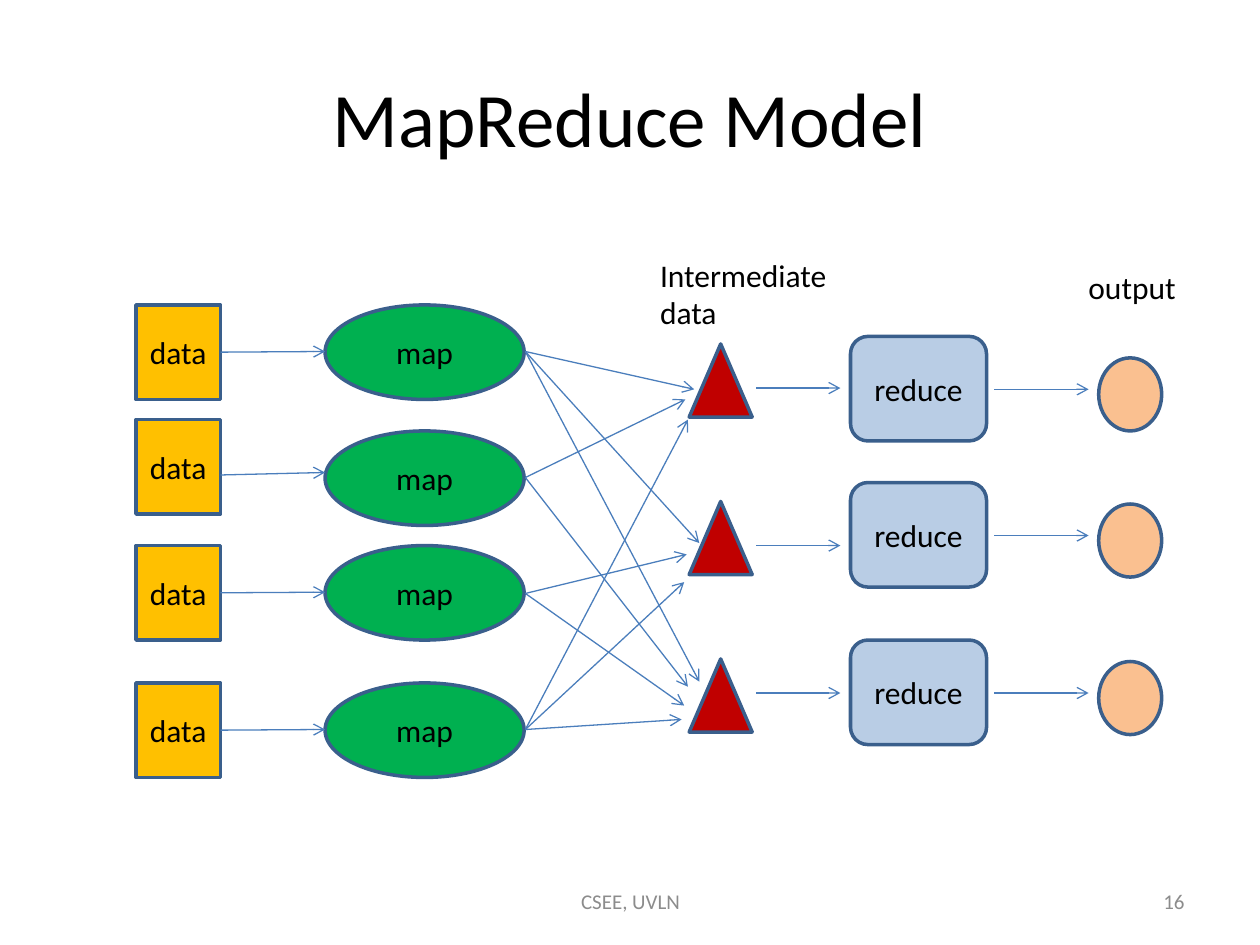
from lxml import etree
from pptx import Presentation
from pptx.dml.color import RGBColor
from pptx.enum import shapes, text
from pptx.oxml import ns
from pptx.util import Pt

SCALE = 9144  # EMU per px, 100 px to the inch
FONT = "Calibri"
COLORS = {
    "ink": "000000", "muted": "8C8C8C", "outline": "3A5F8C", "arrow": "4B7EBC",
    "data": "FFC000", "map": "00B050", "triangle": "C00000",
    "reduce": "B9CDE5", "output": "FAC090",
}
SHAPE = shapes.MSO_SHAPE
ALIGN = text.PP_ALIGN


def px(*lengths):
    return [length * SCALE for length in lengths]


def color(name):
    return RGBColor.from_string(COLORS[name])


def write(frame, lines, size=18, ink="ink", align=ALIGN.LEFT):
    frame.text = "\n".join(lines)
    for para in frame.paragraphs:
        para.alignment = align
        para.font.name = FONT
        para.font.size = Pt(size)
        para.font.color.rgb = color(ink)


def add_node(page, kind, box, fill, label=""):
    node = page.shapes.add_shape(kind, *px(*box))
    node.shadow.inherit = False
    node.fill.solid()
    node.fill.fore_color.rgb = color(fill)
    node.line.color.rgb = color("outline")
    node.line.width = Pt(2)
    if label:
        node.text_frame.vertical_anchor = text.MSO_ANCHOR.MIDDLE
        write(node.text_frame, [label], align=ALIGN.CENTER)
    return node


def add_arrow(page, start, end):
    arrow = page.shapes.add_connector(
        shapes.MSO_CONNECTOR.STRAIGHT, *px(*start, *end))
    arrow.line.color.rgb = color("arrow")
    arrow.line.width = Pt(0.75)
    etree.SubElement(arrow.line._get_or_add_ln(), ns.qn("a:tailEnd"), type="arrow")
    etree.SubElement(arrow._element.spPr, ns.qn("a:effectLst"))
    return arrow


def add_label(page, box, lines):
    label = page.shapes.add_textbox(*px(*box))
    label.text_frame.word_wrap = False
    write(label.text_frame, lines)


def add_title(page, box):
    title = page.shapes.title
    title.left, title.top, title.width, title.height = px(*box)
    title.text_frame.vertical_anchor = text.MSO_ANCHOR.MIDDLE
    write(title.text_frame, ["MapReduce Model"], 44, align=ALIGN.CENTER)


def add_footer(page, box):
    left, top, width, height = box
    fields = [
        ("CSEE, UVLN", left + 292, 317, ALIGN.CENTER),
        ("16", left + width - 233, 233, ALIGN.RIGHT),
    ]
    for words, x, field_width, align in fields:
        field = page.shapes.add_textbox(*px(x, top, field_width, height))
        field.text_frame.word_wrap = True
        field.text_frame.vertical_anchor = text.MSO_ANCHOR.MIDDLE
        write(field.text_frame, [words], 12, "muted", align)


def add_map_stage(page, box):
    left, top, width, height = box
    map_left = left + 150
    # Row offsets of the data box and of its map
    for data_row, map_row in [(0, 0), (91, 100), (191, 191), (300, 300)]:
        data = add_node(page, SHAPE.RECTANGLE,
                        (left, top + data_row, 67, 75), "data", "data")
        add_node(page, SHAPE.OVAL,
                 (map_left, top + map_row, width - 150, 75), "map", "map")
        if data_row == map_row:
            middle = top + data_row + 37
            arrow = add_arrow(page, (left + 67, middle), (map_left, middle))
            arrow.begin_connect(data, 3)
        else:
            add_arrow(page, (left + 67, top + 135), (map_left, top + 133))


def add_shuffle_stage(page, box):
    left, top, width, height = box
    add_label(page, (left + 97, top, 153, 71), ["Intermediate", "data"])
    for row in range(3):
        add_node(page, SHAPE.ISOSCELES_TRIANGLE,
                 (left + 130, top + 75 + 125 * row, 50, 58), "triangle")
    # Arrow tips for each map, keyed by where its arrows start
    tips_by_start = {
        81: [(134, 111), (138, 233), (138, 343)],
        181: [(127, 119), (129, 347)],
        273: [(128, 242), (126, 362)],
        381: [(129, 135), (126, 264), (124, 373)],
    }
    for start, tips in tips_by_start.items():
        for x, y in tips:
            add_arrow(page, (left, top + start), (left + x, top + y))


def add_reduce_stage(page, box):
    left, top, width, height = box
    add_label(page, (left + 254, top, 90, 40), ["output"])
    # Row offsets of the reduce box and of the arrow into it
    for row, arrow_row in [(59, 100), (175, 225), (300, 342)]:
        y = top + row
        add_node(page, SHAPE.ROUNDED_RECTANGLE,
                 (left + 75, y, 108, 83), "reduce", "reduce")
        add_node(page, SHAPE.OVAL, (left + 272, y + 17, 50, 58), "output")
        add_arrow(page, (left, top + arrow_row), (left + 67, top + arrow_row))
        add_arrow(page, (left + 189, y + 42), (left + 264, y + 42))


def main():
    deck = Presentation()
    deck.slide_width, deck.slide_height = px(1000, 750)
    page = deck.slides.add_slide(deck.slide_layouts[5])
    add_title(page, (50, 30, 900, 125))
    add_map_stage(page, (108, 242, 308, 375))
    add_shuffle_stage(page, (417, 198, 250, 383))
    add_reduce_stage(page, (600, 208, 344, 383))
    add_footer(page, (50, 695, 900, 40))
    deck.save("out.pptx")


if __name__ == "__main__":
    main()
